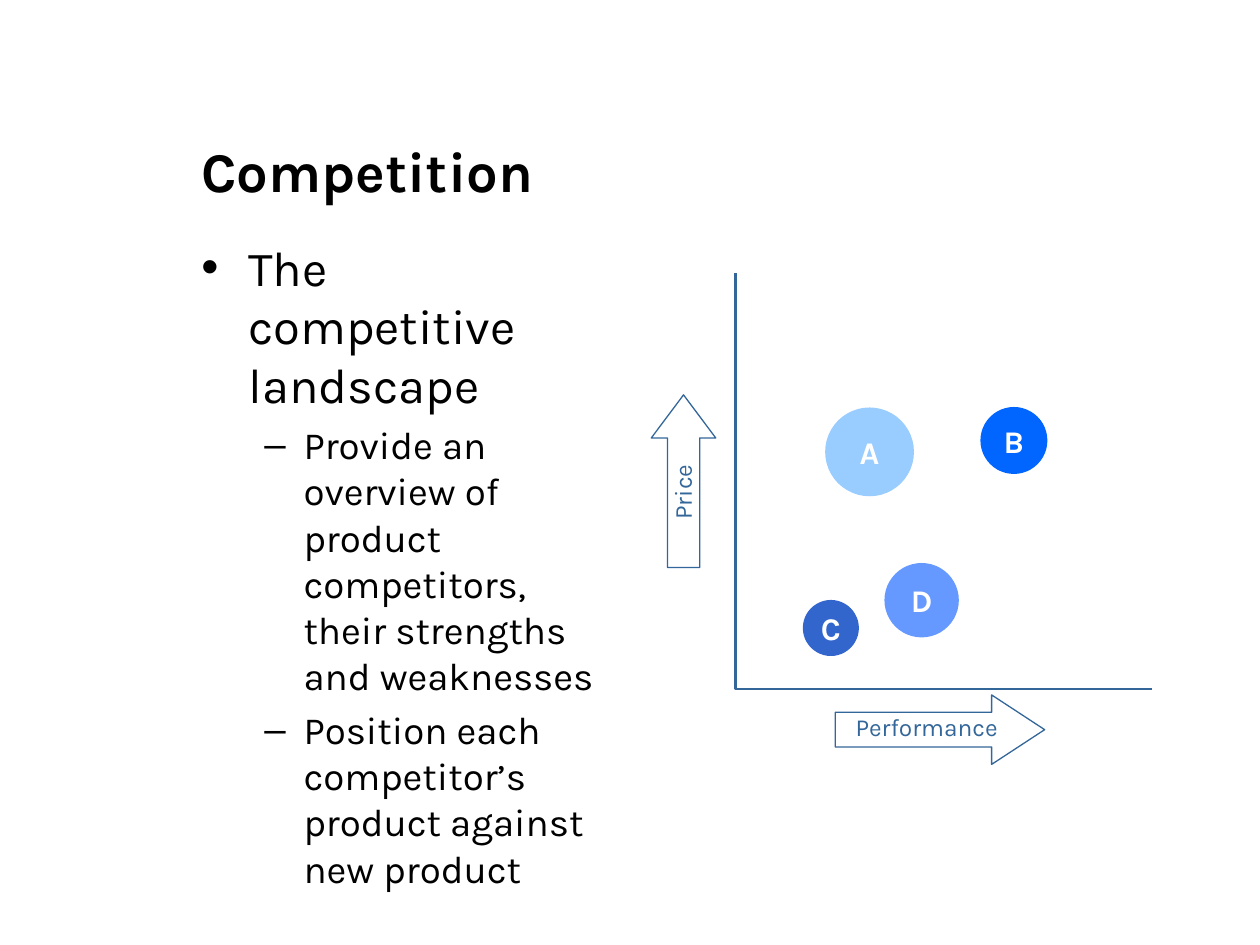
from dataclasses import dataclass

from lxml import etree
from pptx import Presentation
from pptx.dml.color import RGBColor
from pptx.enum.shapes import MSO_SHAPE
from pptx.enum.text import MSO_ANCHOR, MSO_AUTO_SIZE, PP_ALIGN
from pptx.oxml.ns import qn
from pptx.util import Cm, Pt

CIRCLE, ARROW = MSO_SHAPE.OVAL, MSO_SHAPE.RIGHT_ARROW
TOP, MIDDLE, BOTTOM = MSO_ANCHOR.TOP, MSO_ANCHOR.MIDDLE, MSO_ANCHOR.BOTTOM
LEFT, CENTER = PP_ALIGN.LEFT, PP_ALIGN.CENTER
NO_AUTOFIT = MSO_AUTO_SIZE.NONE
TITLE_ONLY = 5


@dataclass(frozen=True)
class Theme:
    """Fonts, colours and type sizes of the slide."""
    font: str = "Karla"
    bullet_font: str = "Arial"
    ink: str = "000000"
    paper: str = "FFFFFF"
    axis: str = "336699"
    title: int = 32
    topic: int = 28
    detail: int = 22
    bubble: int = 18
    label: int = 14


THEME = Theme()

# level, text
POINTS = [
    (0, "The competitive landscape"),
    (1, "Provide an overview of product competitors, their strengths and weaknesses"),
    (1, "Position each competitor’s product against new product"),
]
# size, bullet, left margin, hanging indent by level
LEVELS = [
    (THEME.topic, "•", 0.95, 0.95),
    (THEME.detail, "–", 2.06, 0.79),
]
# name, centre x, centre y, diameter, colour; cm from the plot's corner
COMPETITORS = [
    ("A", 2.70, 3.60, 1.79, "99CCFF"),
    ("B", 5.61, 3.37, 1.35, "0066FF"),
    ("C", 1.92, 7.15, 1.13, "3366CC"),
    ("D", 3.75, 6.59, 1.50, "6699FF"),
]
# name, centre x, centre y, length, thickness, head ratio, rotation
AXIS_ARROWS = [
    ("Performance", 4.12, 9.20, 4.22, 1.40, 0.763, 0),
    ("Price", -1.05, 4.19, 3.48, 1.30, 0.668, 270),
]


def style(paragraph, size, color, bold=False, align=LEFT):
    """Set the font and alignment of a paragraph."""
    paragraph.alignment = align
    font = paragraph.font
    font.name, font.size, font.bold = THEME.font, Pt(size), bold
    font.color.rgb = RGBColor.from_string(color)


def set_frame(frame, anchor, wrap=True, margins=(0.25, 0.13)):
    """Set the anchor, wrapping and (side, top) margins of a text frame."""
    frame.auto_size = NO_AUTOFIT
    frame.word_wrap = wrap
    frame.vertical_anchor = anchor
    frame.margin_left = frame.margin_right = Cm(margins[0])
    frame.margin_top = frame.margin_bottom = Cm(margins[1])


def set_bullet(paragraph, bullet, margin, hang):
    """Give a styled paragraph a bullet with a hanging indent."""
    properties = paragraph._p.get_or_add_pPr()
    properties.set("marL", str(Cm(margin)))
    properties.set("indent", str(-Cm(hang)))
    defaults = properties.find(qn("a:defRPr"))
    for tag, attributes in (("a:buFont", {"typeface": THEME.bullet_font}),
                            ("a:buChar", {"char": bullet})):
        defaults.addprevious(etree.Element(qn(tag), attributes))


def add_title(slide, left, top, width, height):
    """Place the slide title in its box."""
    title = slide.shapes.title
    title.left, title.top = Cm(left), Cm(top)
    title.width, title.height = Cm(width), Cm(height)
    title.text_frame.text = "Competition"
    set_frame(title.text_frame, BOTTOM)
    style(title.text_frame.paragraphs[0], THEME.title, THEME.ink, bold=True)


def add_points(slide, left, top, width, height):
    """Place the bulleted points in their box."""
    frame = slide.shapes.add_textbox(
        Cm(left), Cm(top), Cm(width), Cm(height)).text_frame
    set_frame(frame, TOP)
    frame.text = "\n".join(text for _, text in POINTS)
    for paragraph, (level, _) in zip(frame.paragraphs, POINTS):
        size, bullet, margin, hang = LEVELS[level]
        paragraph.level = level
        paragraph.space_before = Pt(0.2 * size)
        style(paragraph, size, THEME.ink)
        set_bullet(paragraph, bullet, margin, hang)


def add_labelled(slide, kind, name, center, extent, fill, anchor):
    """Place a filled preset shape around a centre, with one line of text."""
    (x, y), (width, height) = center, extent
    shape = slide.shapes.add_shape(
        kind, Cm(x - width / 2), Cm(y - height / 2), Cm(width), Cm(height))
    shape.shadow.inherit = False
    shape.fill.solid()
    shape.fill.fore_color.rgb = RGBColor.from_string(fill)
    shape.line.fill.background()
    shape.text_frame.text = name
    set_frame(shape.text_frame, anchor, wrap=False, margins=(0, 0))
    return shape


def outline(shape, width):
    """Draw a shape's line in the axis colour."""
    shape.line.color.rgb = RGBColor.from_string(THEME.axis)
    shape.line.width = Pt(width)


def add_positioning_map(slide, left, top, width, height):
    """Place competitors, axes and axis arrows relative to the plot box."""
    for name, x, y, diameter, color in COMPETITORS:
        bubble = add_labelled(slide, CIRCLE, name, (left + x, top + y),
                              (diameter, diameter), color, MIDDLE)
        style(bubble.text_frame.paragraphs[0], THEME.bubble, THEME.paper,
              bold=True, align=CENTER)

    builder = slide.shapes.build_freeform(Cm(left), Cm(top))
    builder.add_line_segments(
        [(Cm(left), Cm(top + height)), (Cm(left + width), Cm(top + height))],
        close=False)
    axes = builder.convert_to_shape()
    axes.shadow.inherit = False
    axes.fill.background()
    outline(axes, 1.5)

    for name, x, y, length, thickness, head, rotation in AXIS_ARROWS:
        arrow = add_labelled(slide, ARROW, name, (left + x, top + y),
                             (length, thickness), THEME.paper, TOP)
        style(arrow.text_frame.paragraphs[0], THEME.label, THEME.axis,
              align=CENTER)
        arrow.adjustments[0], arrow.adjustments[1] = 0.5, head
        arrow.rotation = rotation
        outline(arrow, 0.75)


def main():
    """Build the competition slide and save it."""
    deck = Presentation()
    deck.slide_width, deck.slide_height = Cm(25.4), Cm(19.05)
    slide = deck.slides.add_slide(deck.slide_layouts[TITLE_ONLY])
    add_title(slide, 3.81, 1.06, 19.05, 3.17)
    add_points(slide, 3.81, 4.65, 8.55, 13.13)
    add_positioning_map(slide, 14.83, 5.51, 8.4, 8.38)
    deck.save("out.pptx")


main()
